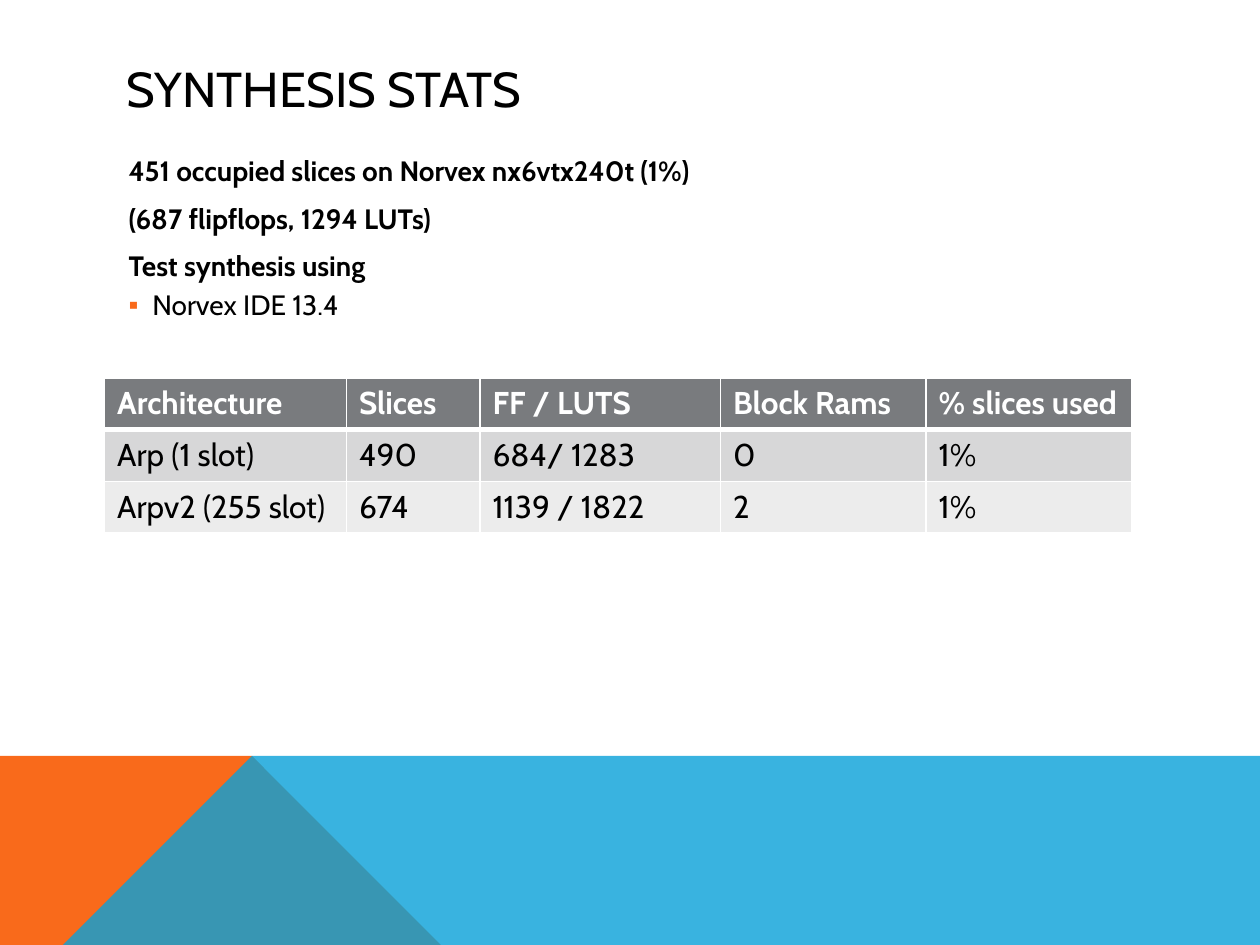
from lxml.etree import SubElement
from pptx import Presentation
from pptx.dml.color import RGBColor
from pptx.enum.text import MSO_ANCHOR, MSO_AUTO_SIZE, PP_ALIGN
from pptx.oxml.ns import qn
from pptx.util import Inches, Pt

# Content
TITLE = "SYNTHESIS STATS"
SUMMARY = [  # text, level
    ("451 occupied slices on Norvex nx6vtx240t (1%)", 0),
    ("(687 flipflops, 1294 LUTs)", 0),
    ("Test synthesis using", 0),
    ("Norvex IDE 13.4", 1),
]
STATS = [
    ("Architecture", "Slices", "FF / LUTS", "Block Rams", "% slices used"),
    ("Arp (1 slot)", "490", "684/ 1283", "0", "1%"),
    ("Arpv2 (255 slot)", "674", "1139 / 1822", "2", "1%"),
]

# Layout and colours
FONT = "Cabin"
BLACK, WHITE, ORANGE, BLUE = "000000", "FFFFFF", "F96A1B", "08A1D9"
ROW_FILLS = ["797B7E", "D7D7D8", "ECECEC"]
COLUMN_WIDTHS = [1.92, 1.06, 1.91, 1.63, 1.63]
ROW_HEIGHT = 0.41
WIDTH, HEIGHT = 10, 7.5
BAND_TOP, PEAK_X, ORANGE_RIGHT = 5.52, 2.23, 3.91


def colour(hex_value):
    return RGBColor.from_string(hex_value)


def format_runs(paragraph, size, hex_value, bold=False):
    for run in paragraph.runs:
        run.font.name = FONT
        run.font.size = Pt(size)
        run.font.bold = bold
        run.font.color.rgb = colour(hex_value)


def place(placeholder, left, top, width, height, anchor):
    placeholder.left, placeholder.top = Inches(left), Inches(top)
    placeholder.width, placeholder.height = Inches(width), Inches(height)
    frame = placeholder.text_frame
    frame.word_wrap = True
    frame.auto_size = MSO_AUTO_SIZE.NONE
    frame.vertical_anchor = anchor
    return frame


def add_band(slide, points, hex_value, opacity=100):
    builder = slide.shapes.build_freeform(*points[0], scale=Inches(1))
    builder.add_line_segments(points[1:], close=True)
    band = builder.convert_to_shape()
    band.shadow.inherit = False
    band.fill.solid()
    band.fill.fore_color.rgb = colour(hex_value)
    band.line.fill.background()
    if opacity < 100:
        fill = band.fill._xPr.find(qn("a:solidFill"))
        SubElement(fill[0], qn("a:alpha"), val=str(opacity * 1000))


def set_bullet(paragraph, level):
    indent = Inches(0.19 if level else 0.38)
    properties = paragraph._p.get_or_add_pPr()
    properties.set("marL", str(indent))
    properties.set("indent", str(-indent))
    if level:
        bullet_colour = SubElement(properties, qn("a:buClr"))
        SubElement(bullet_colour, qn("a:srgbClr"), val=ORANGE)
        SubElement(properties, qn("a:buChar"), char="▪")
    else:
        SubElement(properties, qn("a:buNone"))


def set_borders(cell, top, bottom):
    properties = cell._tc.get_or_add_tcPr()
    for side, points in (("L", 1), ("R", 1), ("T", top), ("B", bottom)):
        border = SubElement(properties, qn(f"a:ln{side}"), w=str(Pt(points)))
        fill = SubElement(border, qn("a:solidFill"))
        SubElement(fill, qn("a:srgbClr"), val=WHITE)


prs = Presentation()
prs.slide_width, prs.slide_height = Inches(WIDTH), Inches(HEIGHT)
slide = prs.slides.add_slide(prs.slide_layouts[1])

# Bottom bands
add_band(slide, [(0, HEIGHT), (0, BAND_TOP), (PEAK_X, BAND_TOP),
                 (ORANGE_RIGHT, HEIGHT)], ORANGE)
add_band(slide, [(0, HEIGHT), (PEAK_X, BAND_TOP), (WIDTH, BAND_TOP),
                 (WIDTH, HEIGHT)], BLUE, opacity=80)

# Title
heading = place(slide.shapes.title, 0.9, 0.4, 8.22, 0.6, MSO_ANCHOR.MIDDLE)
heading.text = TITLE
heading.paragraphs[0].alignment = PP_ALIGN.LEFT
format_runs(heading.paragraphs[0], 28, BLACK)

# Summary list
summary = place(slide.placeholders[1], 0.92, 1.17, 8.22, 2.12, MSO_ANCHOR.TOP)
summary.text = "\n".join(text for text, _ in SUMMARY)
for paragraph, (_, level) in zip(summary.paragraphs, SUMMARY):
    paragraph.level = level
    paragraph.space_before = Pt(3 if level else 8)
    set_bullet(paragraph, level)
    format_runs(paragraph, 16, BLACK, bold=level == 0)

# Statistics table
stats = slide.shapes.add_table(
    len(STATS), len(COLUMN_WIDTHS), Inches(0.83), Inches(3),
    Inches(sum(COLUMN_WIDTHS)), Inches(ROW_HEIGHT * len(STATS))).table
for column, width in zip(stats.columns, COLUMN_WIDTHS):
    column.width = Inches(width)
for r, (values, row_fill) in enumerate(zip(STATS, ROW_FILLS)):
    stats.rows[r].height = Inches(ROW_HEIGHT)
    header = r == 0
    for c, value in enumerate(values):
        cell = stats.cell(r, c)
        cell.text = value
        set_borders(cell, top=3 if r == 1 else 1, bottom=3 if header else 1)
        cell.fill.solid()
        cell.fill.fore_color.rgb = colour(row_fill)
        format_runs(cell.text_frame.paragraphs[0], 18,
                    WHITE if header else BLACK, bold=header)

prs.save("out.pptx")
